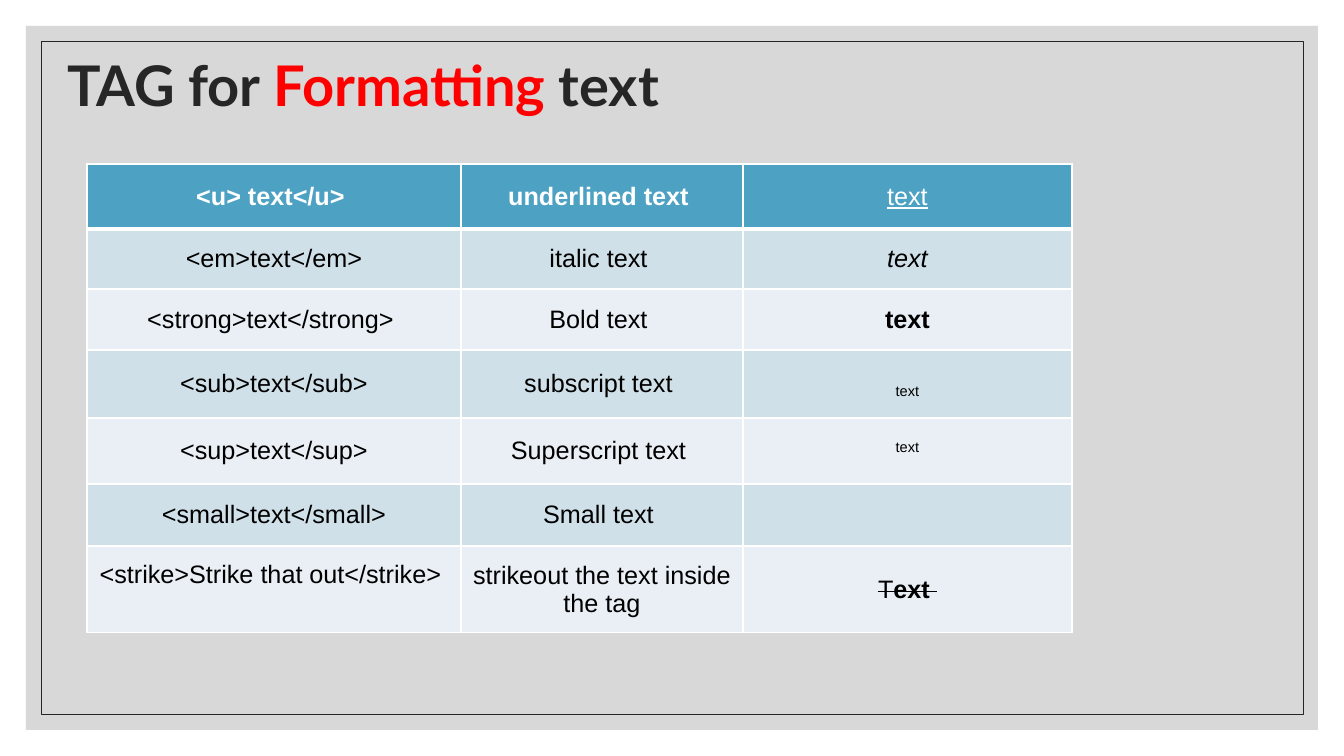
from pptx import Presentation
from pptx.dml.color import RGBColor
from pptx.enum.shapes import MSO_SHAPE
from pptx.enum.text import MSO_ANCHOR, MSO_AUTO_SIZE, PP_ALIGN
from pptx.oxml.ns import qn
from pptx.util import Pt
from lxml.etree import SubElement

WHITE = RGBColor(0xFF, 0xFF, 0xFF)
BLACK = RGBColor(0, 0, 0)
DARK = RGBColor(0x26, 0x26, 0x26)
RED = RGBColor(0xFF, 0, 0)
GREY = RGBColor(0xBF, 0xBF, 0xBF)
HEADER = RGBColor(0x4D, 0xA1, 0xC3)
BANDS = [RGBColor(0xE9, 0xEF, 0xF5), RGBColor(0xD0, 0xE0, 0xE9)]

TITLE = [("TAG for ", DARK), ("Formatting", RED), (" text", DARK)]
ROWS = [
    ("<u> text</u> ", "underlined text ", [("text", {"b": "0", "u": "sng"})]),
    ("<em>text</em>", "italic text ", [("text", {"i": "1"})]),
    ("<strong>text</strong> ", "Bold text ", [("text", {"b": "1"})]),
    ("<sub>text</sub>", "subscript text ", [("text", {"baseline": "-25000"})]),
    ("<sup>text</sup>", "Superscript text ", [("text", {"baseline": "30000"})]),
    ("<small>text</small>", "Small text ", []),
    ("<strike>Strike that out</strike> ", "strikeout the text inside the tag",
     [("T", {"strike": "sngStrike"}), ("ext ", {"strike": "sngStrike", "b": "1"})]),
]
COL_WIDTHS = [374, 282, 329]
ROW_HEIGHTS = [65, 60, 61, 68, 66, 62, 87]
PANEL = (26, 26, 1292, 704)
FRAME = (41, 41, 1262, 673)
TITLE_BOX = (57, 13, 1109, 151)
TABLE_AT = (87, 164)


def px(n):
    return round(n * 914400 / 100.8)


def add_rect(s, box):
    sp = s.shapes.add_shape(MSO_SHAPE.RECTANGLE, *map(px, box))
    sp.shadow.inherit = False
    return sp


def add_border(tc_pr, side, width):
    ln = SubElement(tc_pr, qn(f"a:{side}"), w=str(Pt(width)))
    fill = SubElement(ln, qn("a:solidFill"))
    SubElement(fill, qn("a:srgbClr"), val=str(WHITE))


def fill_cell(cell, content, row):
    header = row == 0
    tc_pr = cell._tc.get_or_add_tcPr()
    for side in ("lnL", "lnR", "lnT", "lnB"):
        thick = (header and side == "lnB") or (row == 1 and side == "lnT")
        add_border(tc_pr, side, 3 if thick else 1)
    cell.fill.solid()
    cell.fill.fore_color.rgb = HEADER if header else BANDS[row % 2]
    cell.vertical_anchor = MSO_ANCHOR.MIDDLE
    p = cell.text_frame.paragraphs[0]
    p.alignment = PP_ALIGN.CENTER
    p.font.size = Pt(18)
    p.font.name = "Arial"
    p.font.bold = header
    p.font.color.rgb = WHITE if header else BLACK
    runs = [(content, {})] if isinstance(content, str) else content
    for text, style in runs:
        r = p.add_run()
        r.text = text
        for key, value in style.items():
            r._r.get_or_add_rPr().set(key, value)


def main():
    prs = Presentation()
    prs.slide_width, prs.slide_height = px(1344), px(756)
    s = prs.slides.add_slide(prs.slide_layouts[5])

    panel = add_rect(s, PANEL)
    panel.fill.solid()
    panel.fill.fore_color.rgb = GREY
    panel.line.fill.background()
    color = panel._element.spPr.find(qn("a:solidFill"))[0]
    SubElement(color, qn("a:alpha"), val="60000")

    frame = add_rect(s, FRAME)
    frame.fill.background()
    frame.line.color.rgb = DARK
    frame.line.width = Pt(0.5)

    title = s.shapes.title
    s.shapes._spTree.append(title._element)
    title.left, title.top, title.width, title.height = map(px, TITLE_BOX)
    tf = title.text_frame
    tf.word_wrap = True
    tf.auto_size = MSO_AUTO_SIZE.NONE
    tf.vertical_anchor = MSO_ANCHOR.MIDDLE
    p = tf.paragraphs[0]
    p.alignment = PP_ALIGN.LEFT
    p.line_spacing = 0.9
    p.font.size = Pt(40)
    p.font.name = "Lato"
    p.font.bold = True
    for text, rgb in TITLE:
        r = p.add_run()
        r.text = text
        r.font.color.rgb = rgb

    size = (sum(COL_WIDTHS), sum(ROW_HEIGHTS))
    table = s.shapes.add_table(len(ROWS), len(COL_WIDTHS), *map(px, TABLE_AT + size)).table
    for col, width in zip(table.columns, COL_WIDTHS):
        col.width = px(width)
    for i, (row, height) in enumerate(zip(ROWS, ROW_HEIGHTS)):
        table.rows[i].height = px(height)
        for j, content in enumerate(row):
            fill_cell(table.cell(i, j), content, i)
    strike = table.cell(len(ROWS) - 1, 0)
    strike.vertical_anchor = MSO_ANCHOR.TOP
    strike.margin_top = px(15)

    prs.save("out.pptx")


if __name__ == "__main__":
    main()
